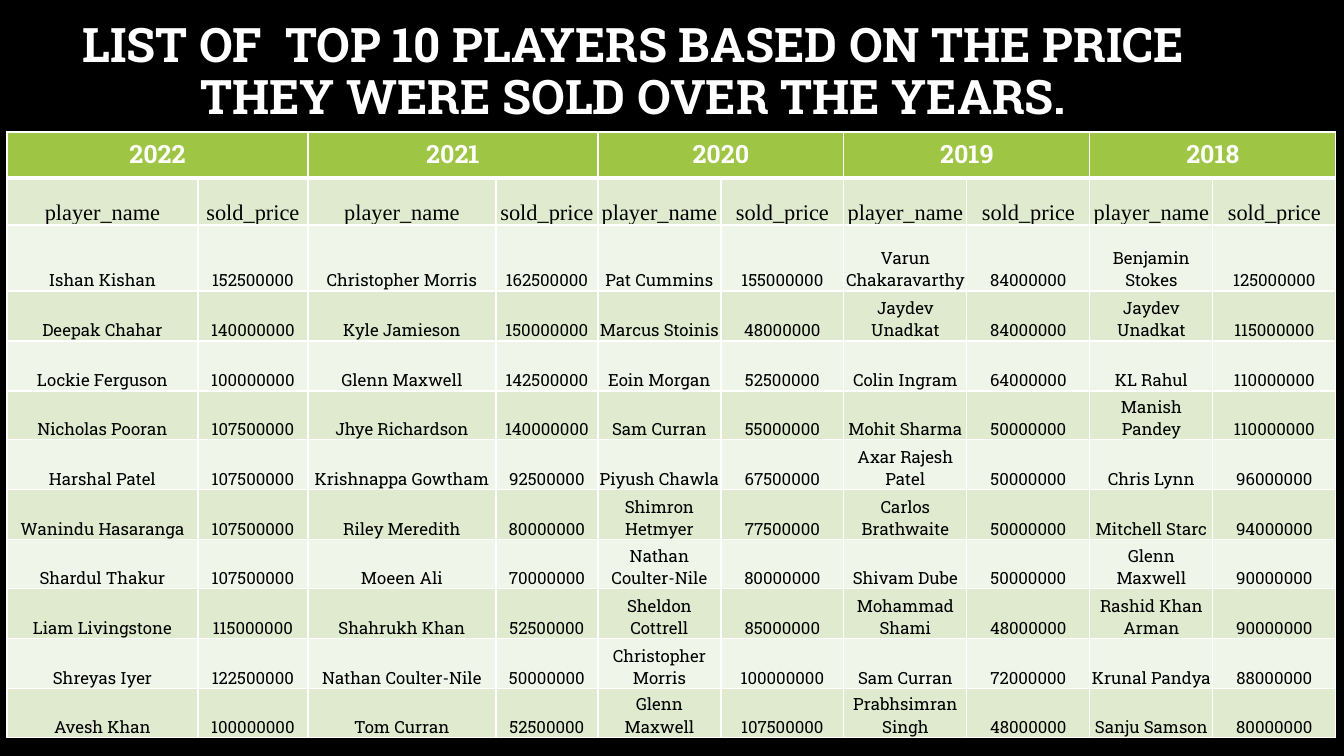
from lxml.etree import SubElement
from pptx import Presentation
from pptx.dml.color import RGBColor
from pptx.enum.text import MSO_ANCHOR as Anchor, PP_ALIGN as Align
from pptx.oxml.ns import qn
from pptx.util import Pt

PX = 9525 * 20 // 21  # EMU per px at 100.8 px to the inch
BLACK = RGBColor(0x00, 0x00, 0x00)
WHITE = RGBColor(0xFF, 0xFF, 0xFF)
GREEN = RGBColor(0x9E, 0xC5, 0x44)
BANDS = [RGBColor(0xF0, 0xF5, 0xE9), RGBColor(0xDF, 0xEA, 0xCF)]
SLAB, SERIF = "Roboto Slab", "Times New Roman"

YEARS = ["2022", "2021", "2020", "2019", "2018"]
PLAYERS = [
    ["Ishan Kishan", "152500000", "Christopher Morris", "162500000", "Pat Cummins", "155000000",
     "Varun Chakaravarthy", "84000000", "Benjamin Stokes", "125000000"],
    ["Deepak Chahar", "140000000", "Kyle Jamieson", "150000000", "Marcus Stoinis", "48000000",
     "Jaydev Unadkat", "84000000", "Jaydev Unadkat", "115000000"],
    ["Lockie Ferguson", "100000000", "Glenn Maxwell", "142500000", "Eoin Morgan", "52500000",
     "Colin Ingram", "64000000", "KL Rahul", "110000000"],
    ["Nicholas Pooran", "107500000", "Jhye Richardson", "140000000", "Sam Curran", "55000000",
     "Mohit Sharma", "50000000", "Manish Pandey", "110000000"],
    ["Harshal Patel", "107500000", "Krishnappa Gowtham", "92500000", "Piyush Chawla", "67500000",
     "Axar Rajesh Patel", "50000000", "Chris Lynn", "96000000"],
    ["Wanindu Hasaranga", "107500000", "Riley Meredith", "80000000", "Shimron Hetmyer", "77500000",
     "Carlos Brathwaite", "50000000", "Mitchell Starc", "94000000"],
    ["Shardul Thakur", "107500000", "Moeen Ali", "70000000", "Nathan Coulter-Nile", "80000000",
     "Shivam Dube", "50000000", "Glenn Maxwell", "90000000"],
    ["Liam Livingstone", "115000000", "Shahrukh Khan", "52500000", "Sheldon Cottrell", "85000000",
     "Mohammad Shami", "48000000", "Rashid Khan Arman", "90000000"],
    ["Shreyas Iyer", "122500000", "Nathan Coulter-Nile", "50000000", "Christopher Morris", "100000000",
     "Sam Curran", "72000000", "Krunal Pandya", "88000000"],
    ["Avesh Khan", "100000000", "Tom Curran", "52500000", "Glenn Maxwell", "107500000",
     "Prabhsimran Singh", "48000000", "Sanju Samson", "80000000"],
]
COLUMN_WIDTHS = [191, 110, 188, 102] + [123] * 6
ROW_HEIGHTS = [46, 47, 66] + [50, 50, 49] * 3


def write(frame, text, size, font, color, bold=False):
    frame.text = text
    para = frame.paragraphs[0]
    para.alignment = Align.CENTER
    for span in para.runs:
        span.font.size = Pt(size)
        span.font.name = font
        span.font.color.rgb = color
        span.font.bold = bold


def add_borders(cell, top, bottom):
    properties = cell._tc.get_or_add_tcPr()
    for side, width in (("L", 1), ("R", 1), ("T", top), ("B", bottom)):
        line = SubElement(properties, qn(f"a:ln{side}"), w=str(Pt(width)))
        fill = SubElement(line, qn("a:solidFill"))
        SubElement(fill, qn("a:srgbClr"), val=str(WHITE))


deck = Presentation()
deck.slide_width, deck.slide_height = 1344 * PX, 756 * PX
page = deck.slides.add_slide(deck.slide_layouts[6])
page.background.fill.solid()
page.background.fill.fore_color.rgb = BLACK

# Title
title = page.shapes.add_textbox(63 * PX, 0, 1141 * PX, 146 * PX).text_frame
title.word_wrap = True
title.vertical_anchor = Anchor.MIDDLE
write(title, "LIST OF  TOP 10 PLAYERS BASED ON THE PRICE THEY WERE SOLD OVER THE YEARS.",
      34, SLAB, WHITE, bold=True)
title.paragraphs[0].line_spacing = 0.9

# Table grid
table = page.shapes.add_table(
    len(ROW_HEIGHTS), len(COLUMN_WIDTHS), 7 * PX, 132 * PX,
    sum(COLUMN_WIDTHS) * PX, sum(ROW_HEIGHTS) * PX).table
for column, width in zip(table.columns, COLUMN_WIDTHS):
    column.width = width * PX
for row, height in zip(table.rows, ROW_HEIGHTS):
    row.height = height * PX

# Year headings, each across a name and a price column
for index, year in enumerate(YEARS):
    left, right = table.cell(0, 2 * index), table.cell(0, 2 * index + 1)
    left.merge(right)
    write(left.text_frame, year, 18, SLAB, WHITE, bold=True)
    for cell in (left, right):
        add_borders(cell, 1, 3)
        cell.fill.solid()
        cell.fill.fore_color.rgb = GREEN

# Column labels and players, in alternating bands
labels = ["player_name", "sold_price"] * len(YEARS)
for row, values in enumerate([labels] + PLAYERS, start=1):
    size, font = (16, SERIF) if row == 1 else (12, SLAB)
    for column, value in enumerate(values):
        cell = table.cell(row, column)
        write(cell.text_frame, value, size, font, BLACK)
        cell.vertical_anchor = Anchor.BOTTOM
        cell.margin_left = cell.margin_right = cell.margin_top = PX
        cell.margin_bottom = 0
        add_borders(cell, 3 if row == 1 else 1, 1)
        cell.fill.solid()
        cell.fill.fore_color.rgb = BANDS[row % 2]

deck.save("out.pptx")
